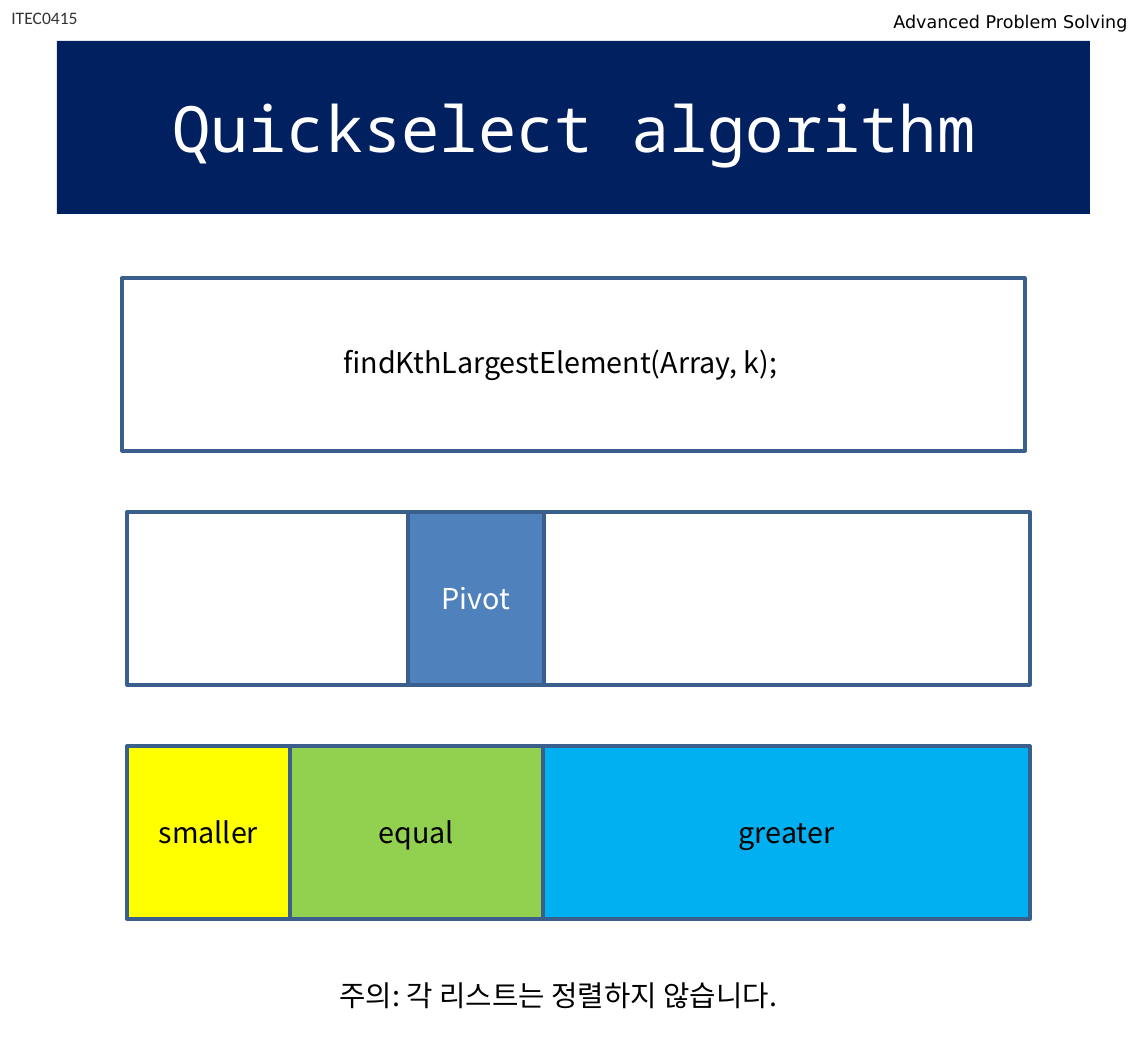
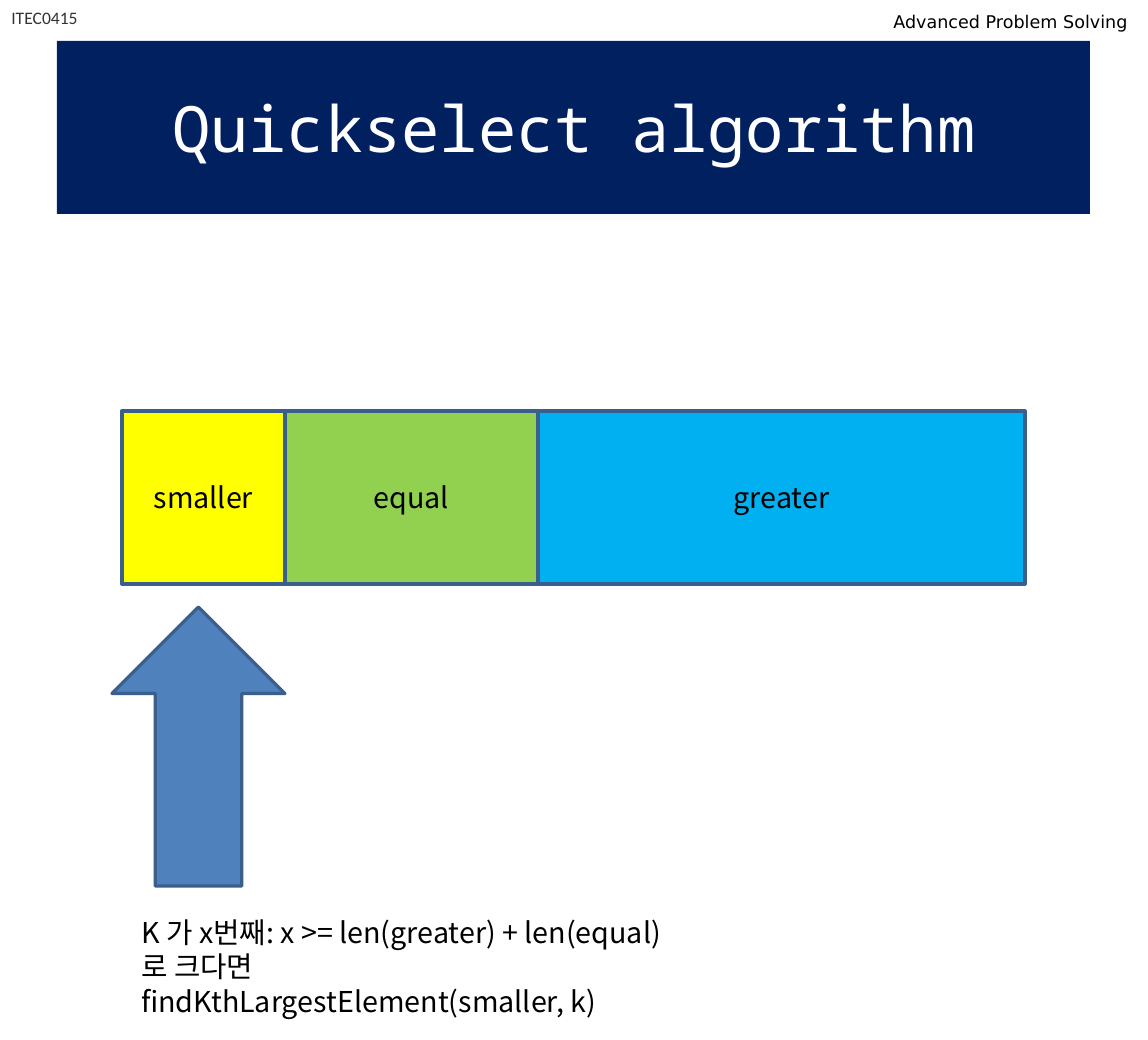
import pptx
import pptx.dml.color
import pptx.enum.shapes
import pptx.enum.text
import pptx.oxml.ns
import pptx.util
from lxml import etree

PX = 914400 / 114.8
NAVY, WHITE, BLACK, GREY = "002060", "FFFFFF", "000000", "333333"
BLUE, OUTLINE = "4F81BD", "3A5F8C"
BODY = "Noto Sans CJK KR"
BOX_W, BOX_H = 903, 173
PARTS = [("smaller", 163, "FFFF00"), ("equal", 253, "92D050"), ("greater", 487, "00B0F0")]
SHAPE = pptx.enum.shapes.MSO_SHAPE
CENTER = pptx.enum.text.PP_ALIGN.CENTER
LEFT = pptx.enum.text.PP_ALIGN.LEFT


def px(*lengths):
    return [pptx.util.Emu(round(n * PX)) for n in lengths]


def rgb(code):
    return pptx.dml.color.RGBColor.from_string(code)


def write(sp, text, size=18, color=BLACK, font=BODY, align=LEFT):
    """Fill a shape's text frame, one paragraph a line."""
    tf = sp.text_frame
    tf.word_wrap = True
    tf.auto_size = pptx.enum.text.MSO_AUTO_SIZE.NONE
    tf.text = text
    for p in tf.paragraphs:
        p.alignment = align
        p.font.size = pptx.util.Pt(size)
        p.font.color.rgb = rgb(color)
        p.font.name = font
        defaults = p._p.pPr.find(pptx.oxml.ns.qn("a:defRPr"))
        etree.SubElement(defaults, pptx.oxml.ns.qn("a:ea"), typeface=font)


def add_box(s, x, y, w, h, fill, text="", color=BLACK, kind=SHAPE.RECTANGLE):
    sp = s.shapes.add_shape(kind, *px(x, y, w, h))
    sp.shadow.inherit = False
    sp.fill.solid()
    sp.fill.fore_color.rgb = rgb(fill)
    sp.line.color.rgb = rgb(OUTLINE)
    sp.line.width = pptx.util.Pt(2)
    if text:
        sp.text_frame.vertical_anchor = pptx.enum.text.MSO_ANCHOR.MIDDLE
        write(sp, text, color=color, align=CENTER)
    return sp


prs = pptx.Presentation()
prs.slide_width, prs.slide_height = px(1148, 1040)

# Title band, header and partitioned array on both slides
slides = []
for array_x, array_y in [(127, 746), (122, 411)]:
    s = prs.slides.add_slide(prs.slide_layouts[5])
    slides.append(s)

    title = s.shapes.title
    title.left, title.top, title.width, title.height = px(57, 41, 1033, BOX_H)
    title.fill.solid()
    title.fill.fore_color.rgb = rgb(NAVY)
    title.text_frame.vertical_anchor = pptx.enum.text.MSO_ANCHOR.MIDDLE
    write(title, "Quickselect algorithm", 40, WHITE, "Noto Sans Mono", CENTER)

    write(s.shapes.add_textbox(*px(0, 1, 91, 33)), "ITEC0415", 11, GREY, "Calibri")
    write(s.shapes.add_textbox(*px(882, 5, 266, 33)), "Advanced Problem Solving", 11, BLACK, "DejaVu Sans")

    x = array_x
    for name, width, fill in PARTS:
        add_box(s, x, array_y, width, BOX_H, fill, name)
        x += width

# Slide 1: call, pivot, partition
s = slides[0]
add_box(s, 122, 278, BOX_W, BOX_H, WHITE)
write(s.shapes.add_textbox(*px(332, 339, 515, 46)), "findKthLargestElement(Array, k);")
add_box(s, 127, 512, BOX_W, BOX_H, WHITE)
add_box(s, 408, 512, 136, BOX_H, BLUE, "Pivot", WHITE)
write(s.shapes.add_textbox(*px(328, 972, 502, 46)), "주의: 각 리스트는 정렬하지 않습니다.")

# Slide 2: recursion into the smaller part
s = slides[1]
arrow = add_box(s, 59, 660, 279, BOX_H, BLUE, kind=SHAPE.RIGHT_ARROW)
arrow.rotation = 270
write(s.shapes.add_textbox(*px(130, 909, 655, 116)),
      "K 가 x번째: x >= len(greater) + len(equal)\n로 크다면\nfindKthLargestElement(smaller, k)")

prs.save("out.pptx")
